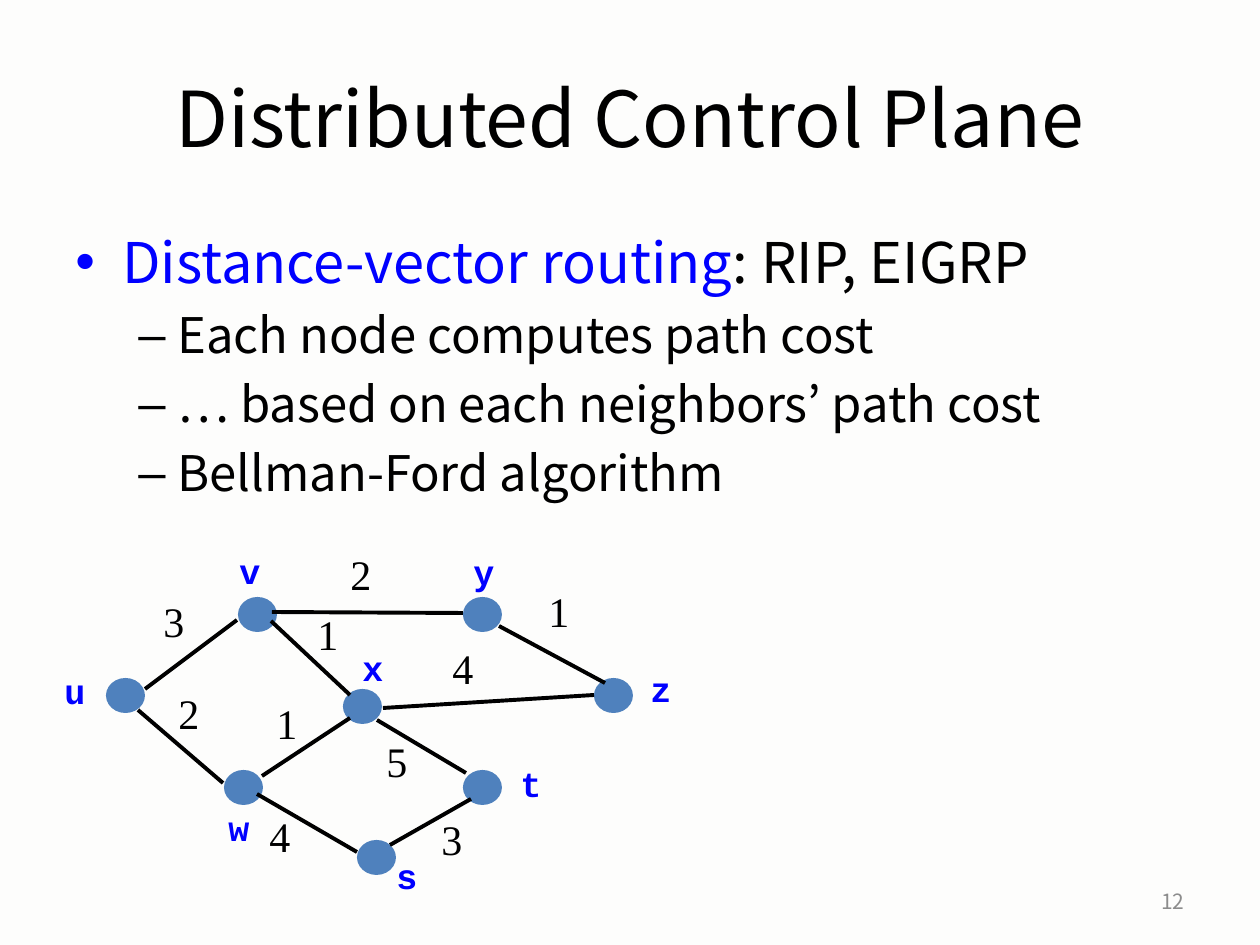
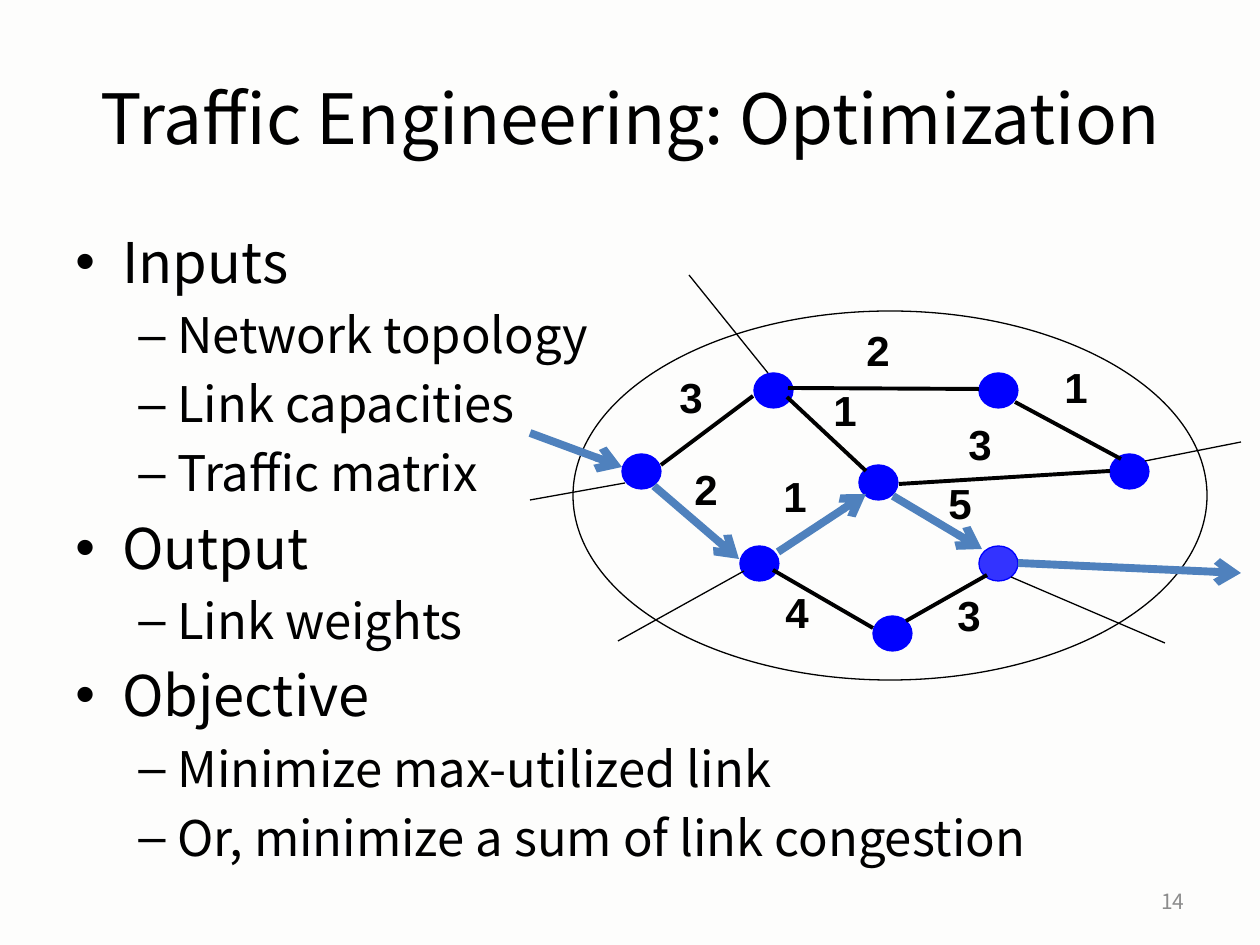
from lxml import etree
from pptx import Presentation
from pptx.dml.color import RGBColor
from pptx.enum.shapes import MSO_CONNECTOR, MSO_SHAPE
from pptx.enum.text import MSO_ANCHOR, PP_ALIGN
from pptx.oxml.ns import qn
from pptx.util import Emu, Pt

SCALE = 914400 / 126
WIDTH, HEIGHT = 1260, 945

PAPER = RGBColor(0xFD, 0xFD, 0xFC)
BLACK = RGBColor(0, 0, 0)
BLUE = RGBColor(0, 0, 0xFF)
LIGHT_BLUE = RGBColor(0x33, 0x33, 0xFF)
STEEL = RGBColor(0x4F, 0x81, 0xBD)
GREY = RGBColor(0x8C, 0x8C, 0x8C)

MAIN_FONT = "Noto Sans CJK JP"
# level: (bullet, text indent, hanging indent, text size)
LEVELS = [("•", 47, 47, 32), ("–", 102, 39, 28)]
LINE_HEIGHT, SPACE_BEFORE = 1.207, 0.2

# Node positions, links and link costs, relative to the network's corner
NODE_SIZE = (39, 35)
NODES = {"u": (0, 81), "w": (118, 173), "v": (132, 0), "x": (237, 92),
         "t": (357, 173), "y": (357, 0), "s": (251, 243), "z": (488, 81)}
LINKS = {"uv": (39, 92, 131, 23), "uw": (32, 113, 117, 186),
         "vx": (165, 24, 244, 98), "ws": (151, 197, 251, 255),
         "wx": (156, 179, 244, 121), "xt": (271, 123, 360, 176),
         "st": (284, 248, 365, 202), "xz": (277, 111, 488, 98),
         "vy": (166, 15, 357, 16), "yz": (393, 29, 499, 86)}
COSTS = {"uv": ("3", 45, -8), "vy": ("2", 232, -55), "uw": ("2", 60, 84),
         "vx": ("1", 199, 5), "wx": ("1", 158, 94), "xz": ("4", 334, 39),
         "yz": ("1", 430, -18), "ws": ("4", 151, 207), "xt": ("5", 268, 132),
         "st": ("3", 323, 210)}
NODE_NAMES = {"u": (-54, 66, 47), "v": (121, -54, 44), "w": (110, 203, 54),
              "x": (244, 43, 45), "y": (355, -53, 44), "z": (532, 64, 43),
              "s": (278, 251, 45), "t": (402, 159, 37)}


def px(length):
    """Turn pixels into EMU."""
    return Emu(round(length * SCALE))


def add_run(paragraph, text, size, color, font=MAIN_FONT, bold=False):
    """Append one formatted run."""
    run = paragraph.add_run()
    run.text = text
    run.font.size = Pt(size)
    run.font.name = font
    run.font.bold = bold
    run.font.color.rgb = color


def add_text_frame(slide, box, wrap=True, anchor=MSO_ANCHOR.TOP):
    """Add a text box and return its frame."""
    frame = slide.shapes.add_textbox(*map(px, box)).text_frame
    frame.word_wrap = wrap
    frame.vertical_anchor = anchor
    return frame


def add_label(slide, box, text, size, color, font, bold):
    """Add a short unwrapped label."""
    frame = add_text_frame(slide, box, wrap=False)
    add_run(frame.paragraphs[0], text, size, color, font, bold)


def add_line(slide, origin, points, color=BLACK, width=2.25, arrow=False):
    """Draw a line from points relative to origin, with an optional arrowhead."""
    left, top = origin
    x1, y1, x2, y2 = points
    line = slide.shapes.add_connector(
        MSO_CONNECTOR.STRAIGHT,
        px(left + x1), px(top + y1), px(left + x2), px(top + y2))
    line.line.color.rgb = color
    line.line.width = Pt(width)
    if arrow:
        etree.SubElement(line.line._get_or_add_ln(), qn("a:tailEnd"), type="arrow")
    etree.SubElement(line._element.spPr, qn("a:effectLst"))


def add_ellipse(slide, box, fill=None, outline=None):
    """Draw an ellipse with optional fill and thin outline."""
    shape = slide.shapes.add_shape(MSO_SHAPE.OVAL, *map(px, box))
    shape.shadow.inherit = False
    if fill is None:
        shape.fill.background()
    else:
        shape.fill.solid()
        shape.fill.fore_color.rgb = fill
    if outline is None:
        shape.line.fill.background()
    else:
        shape.line.color.rgb = outline
        shape.line.width = Pt(0.75)


def add_slide(presentation, title, title_size, number):
    """Add a slide with background, title and slide number."""
    slide = presentation.slides.add_slide(presentation.slide_layouts[6])
    slide.background.fill.solid()
    slide.background.fill.fore_color.rgb = PAPER
    for box, text, size, color, alignment in [
            ((63, 38, 1134, 158), title, title_size, BLACK, PP_ALIGN.CENTER),
            ((903, 876, 294, 50), number, 12, GREY, PP_ALIGN.RIGHT)]:
        paragraph = add_text_frame(slide, box, anchor=MSO_ANCHOR.MIDDLE).paragraphs[0]
        paragraph.alignment = alignment
        add_run(paragraph, text, size, color)
    return slide


def add_bullets(slide, box, items):
    """Write (level, runs) items as bullets; a run is (text, colour)."""
    frame = add_text_frame(slide, box)
    for index, (level, runs) in enumerate(items):
        paragraph = frame.add_paragraph() if index else frame.paragraphs[0]
        bullet, indent, hanging, size = LEVELS[level]
        paragraph.level = level
        paragraph.line_spacing = Pt(size * LINE_HEIGHT)
        paragraph.space_before = Pt(size * SPACE_BEFORE)
        properties = paragraph._p.get_or_add_pPr()
        properties.set("marL", str(px(indent)))
        properties.set("indent", str(-px(hanging)))
        etree.SubElement(properties, qn("a:buFont"), typeface="Arial")
        etree.SubElement(properties, qn("a:buChar"), char=bullet)
        for text, color in runs:
            add_run(paragraph, text, size, color)


def add_network(slide, origin, fills, outline, costs, cost_font, bold, route=()):
    """Draw nodes, links and costs; links on the route become arrows."""
    left, top = origin
    for name, (x, y) in NODES.items():
        add_ellipse(slide, (left + x, top + y, *NODE_SIZE), fills[name], outline)
    for name, points in LINKS.items():
        if name in route:
            add_line(slide, origin, points, STEEL, 4.5, arrow=True)
        else:
            add_line(slide, origin, points)
    for cost, x, y in costs.values():
        add_label(slide, (left + x, top + y, 47, 63), cost, 24, BLACK, cost_font, bold)


def add_node_names(slide, origin):
    """Label each node with its letter."""
    left, top = origin
    for name, (x, y, width) in NODE_NAMES.items():
        add_label(slide, (left + x, top + y, width, 54), name, 20, BLUE,
                  "Courier New", True)


def add_surroundings(slide, origin):
    """Draw the network's border, its outside links and the traffic."""
    left, top = origin
    add_ellipse(slide, (left - 49, top - 62, 634, 369), outline=BLACK)
    for traffic in [(-92, 60, 0, 94), (396, 190, 619, 200)]:
        add_line(slide, origin, traffic, STEEL, 4.5, arrow=True)
    for link in [(3, 110, -92, 127), (389, 204, 543, 270), (619, 69, 523, 88),
                 (67, -98, 146, 0), (122, 198, -4, 268)]:
        add_line(slide, origin, link, width=0.75)


def build_control_plane(presentation):
    """Build the distance-vector routing slide."""
    slide = add_slide(presentation, "Distributed Control Plane", 44, "12")
    add_bullets(slide, (63, 221, 1134, 345), [
        (0, [("Distance-vector routing", BLUE), (": RIP, EIGRP", BLACK)]),
        (1, [("Each node computes path cost", BLACK)]),
        (1, [("… based on each neighbors’ path cost", BLACK)]),
        (1, [("Bellman-Ford algorithm", BLACK)])])
    origin = (106, 597)
    add_network(slide, origin, dict.fromkeys(NODES, STEEL), None, COSTS,
                "Times New Roman", False)
    add_node_names(slide, origin)


def build_optimization(presentation):
    """Build the traffic engineering slide."""
    slide = add_slide(presentation, "Traffic Engineering: Optimization", 39.6, "14")
    outline = [(0, "Inputs"), (1, "Network topology"), (1, "Link capacities"),
               (1, "Traffic matrix"), (0, "Output"), (1, "Link weights"),
               (0, "Objective"), (1, "Minimize max-utilized link"),
               (1, "Or, minimize a sum of link congestion")]
    add_bullets(slide, (63, 221, 1134, 624),
                [(level, [(text, BLACK)]) for level, text in outline])
    origin = (622, 373)
    fills = dict.fromkeys(NODES, BLUE) | {"t": LIGHT_BLUE}
    costs = COSTS | {"wx": ("1", 149, 91), "xz": ("3", 334, 39), "xt": ("5", 314, 98)}
    add_network(slide, origin, fills, BLUE, costs, "Arial", True,
                route=("uw", "wx", "xt"))
    add_surroundings(slide, origin)


def main():
    """Build and save the presentation."""
    presentation = Presentation()
    presentation.slide_width, presentation.slide_height = px(WIDTH), px(HEIGHT)
    build_control_plane(presentation)
    build_optimization(presentation)
    presentation.save("out.pptx")


main()
